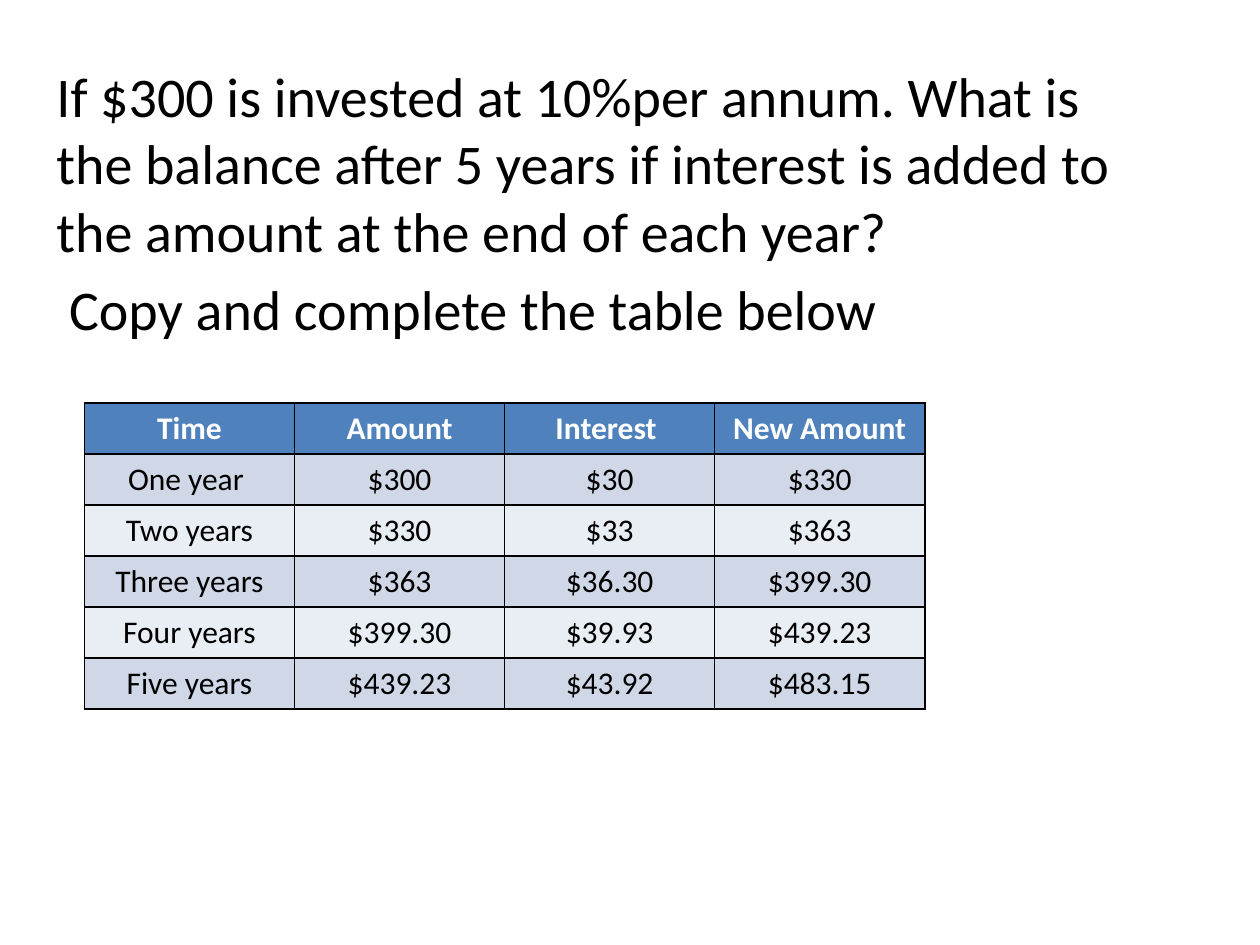
from lxml import etree
from pptx import Presentation
from pptx.dml.color import RGBColor
from pptx.enum import text
from pptx.oxml.ns import qn
from pptx.util import Inches, Pt

BLACK = RGBColor(0x00, 0x00, 0x00)
WHITE = RGBColor(0xFF, 0xFF, 0xFF)
HEADER = RGBColor(0x4F, 0x81, 0xBD)
BANDS = [RGBColor(0xE9, 0xED, 0xF4), RGBColor(0xD0, 0xD8, 0xE8)]


def write(p, words, size, color=BLACK, bold=False, align=text.PP_ALIGN.LEFT):
    p.alignment = align
    r = p.add_run()
    r.text = words
    r.font.name = "Calibri"
    r.font.size = Pt(size)
    r.font.bold = bold
    r.font.color.rgb = color


def add_borders(cell):
    tc_pr = cell._tc.get_or_add_tcPr()
    for i, side in enumerate(("a:lnL", "a:lnR", "a:lnT", "a:lnB")):
        ln = etree.Element(qn(side), w=str(Pt(1)))
        fill = etree.SubElement(ln, qn("a:solidFill"))
        etree.SubElement(fill, qn("a:srgbClr"), val=str(BLACK))
        tc_pr.insert(i, ln)


prs = Presentation()
prs.slide_width, prs.slide_height = Inches(10), Inches(7.5)
s = prs.slides.add_slide(prs.slide_layouts[6])

# Question
question = s.shapes.add_textbox(Inches(0.35), Inches(0.44), Inches(9), Inches(4.95))
tf = question.text_frame
tf.word_wrap = True
write(tf.paragraphs[0],
      "If $300 is invested at 10%per annum. What is the balance after 5 years "
      "if interest is added to the amount at the end of each year?", 32)
p = tf.add_paragraph()
p.space_before = Pt(6.4)
write(p, " Copy and complete the table below", 32)

# Yearly balances
rows = [
    ("Time", "Amount", "Interest ", "New Amount"),
    ("One year ", "$300", "$30", "$330"),
    ("Two years", "$330", "$33", "$363"),
    ("Three years", "$363", "$36.30", "$399.30"),
    ("Four years", "$399.30", "$39.93", "$439.23"),
    ("Five years", "$439.23", "$43.92", "$483.15"),
]
table = s.shapes.add_table(len(rows), len(rows[0]), Inches(0.67), Inches(3.2),
                           Inches(6.67), Inches(2.43)).table
for i, row in enumerate(rows):
    is_header = i == 0
    for j, words in enumerate(row):
        cell = table.cell(i, j)
        cell.fill.solid()
        cell.fill.fore_color.rgb = HEADER if is_header else BANDS[i % 2]
        add_borders(cell)
        write(cell.text_frame.paragraphs[0], words, 18,
              color=WHITE if is_header else BLACK, bold=is_header,
              align=text.PP_ALIGN.CENTER)

prs.save("out.pptx")
